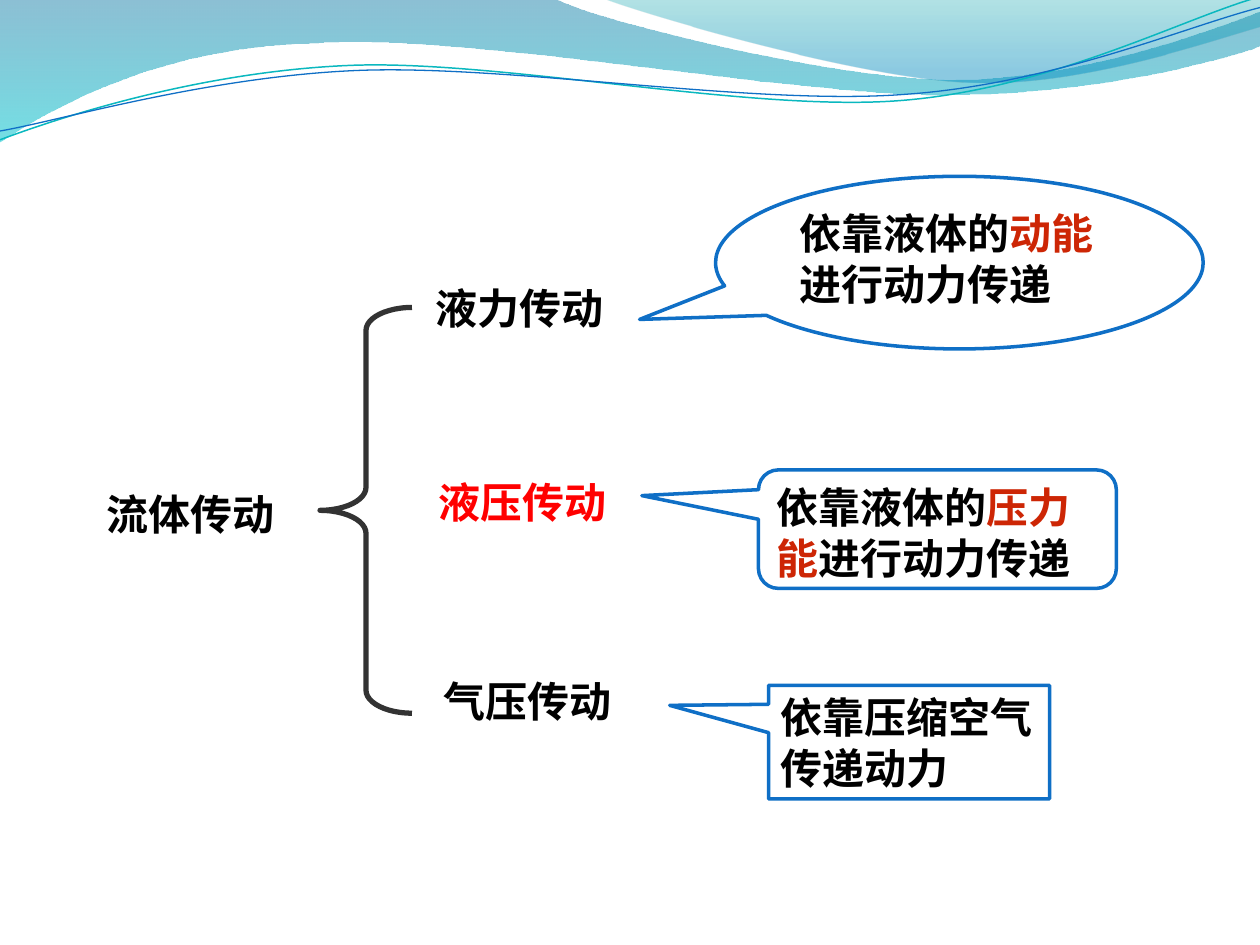
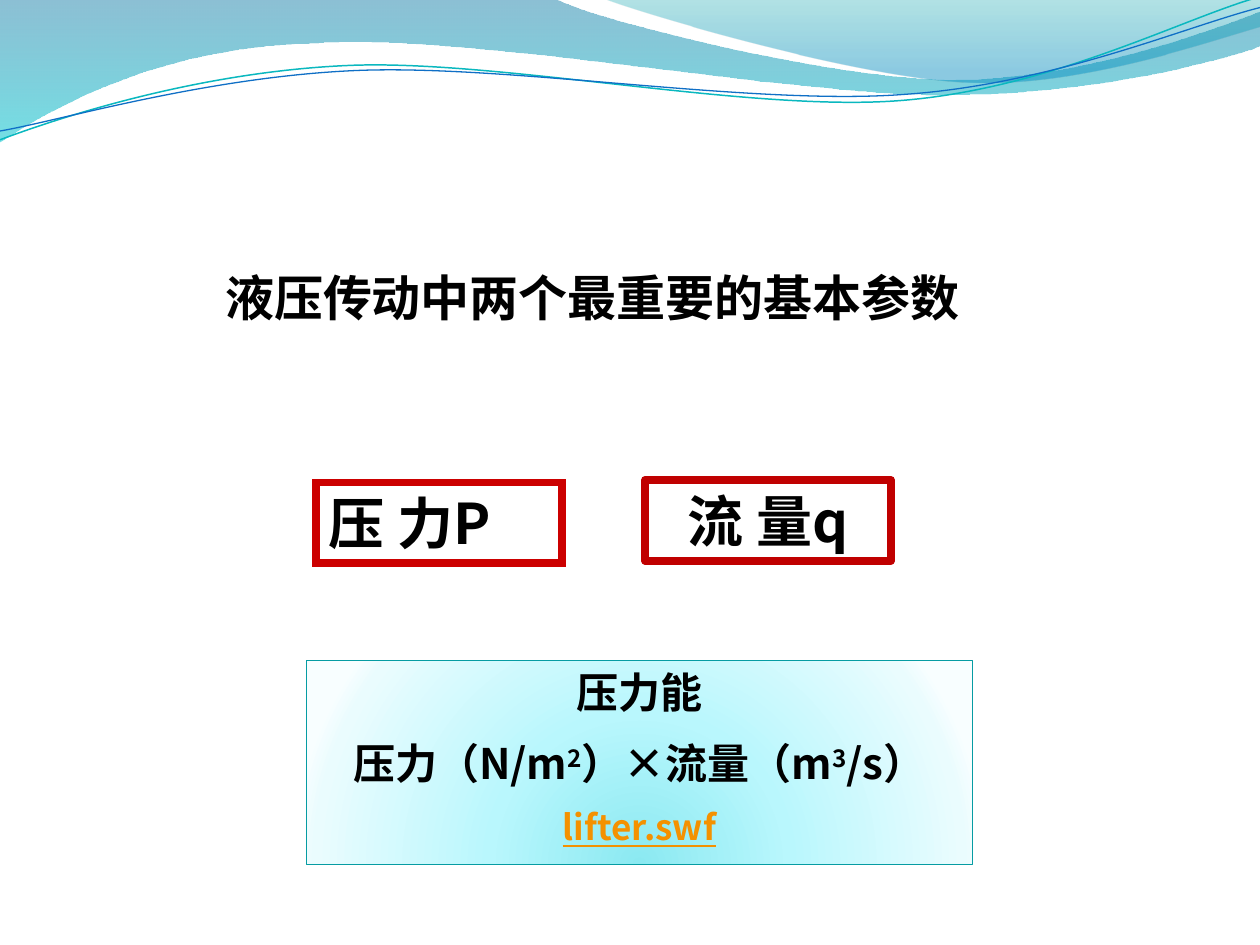
import lxml.etree
import pptx
import pptx.dml.color
import pptx.enum.shapes
import pptx.enum.text
import pptx.oxml
import pptx.oxml.ns
import pptx.util

RGBColor = pptx.dml.color.RGBColor
Inches = pptx.util.Inches
Pt = pptx.util.Pt
qn = pptx.oxml.ns.qn
MSO_SHAPE = pptx.enum.shapes.MSO_SHAPE
MSO_ANCHOR = pptx.enum.text.MSO_ANCHOR
PP_ALIGN = pptx.enum.text.PP_ALIGN

FONT = "Noto Sans CJK SC"
BLACK = RGBColor(0x00, 0x00, 0x00)
WHITE = RGBColor(0xFF, 0xFF, 0xFF)
RED = RGBColor(0xFF, 0x00, 0x00)
ACCENT_RED = RGBColor(0xCD, 0x26, 0x05)
PRESSURE_RED = RGBColor(0xCC, 0x00, 0x00)
FLOW_RED = RGBColor(0xC0, 0x00, 0x00)
BLUE = RGBColor(0x0F, 0x6F, 0xC6)
TEAL = RGBColor(0x0A, 0xB8, 0xBF)
DARK_TEAL = RGBColor(0x06, 0x9C, 0xA3)
ORANGE = RGBColor(0xF4, 0x91, 0x00)
WAVE_STOPS = [(0, RGBColor(0x00, 0x74, 0xA1), 45), (100, RGBColor(0x00, 0xC6, 0xCF), 55)]
CREST_STOPS = [(0, RGBColor(0x00, 0xA1, 0xA9), 30), (80, RGBColor(0x00, 0x8B, 0xBF), 45)]
PANEL_STOPS = [(0, RGBColor(0x8B, 0xE9, 0xF1), 100), (43, RGBColor(0xB9, 0xF7, 0xFD), 100),
               (93, RGBColor(0xEA, 0xFC, 0xFE), 100), (100, RGBColor(0xF8, 0xFE, 0xFF), 100)]
DOWNWARD = '<a:lin ang="5400000" scaled="1"/>'
FROM_BELOW = ('<a:path path="circle">'
              '<a:fillToRect l="50000" t="130000" r="50000" b="-30000"/></a:path>')


def gradient_fill(shape, stops, direction):
    stop_xml = "".join(
        f'<a:gs pos="{position * 1000}"><a:srgbClr val="{color}">'
        f'<a:alpha val="{alpha * 1000}"/></a:srgbClr></a:gs>'
        for position, color, alpha in stops)
    gradient = pptx.oxml.parse_xml(
        f'<a:gradFill {pptx.oxml.ns.nsdecls("a")} rotWithShape="1">'
        f'<a:gsLst>{stop_xml}</a:gsLst>{direction}</a:gradFill>')
    shape.fill.background()
    properties = shape.element.spPr
    properties.replace(properties.find(qn("a:noFill")), gradient)


def write_text(shape, paragraphs, size=24, alignment=PP_ALIGN.LEFT, wrap=True):
    """Fill a shape; each paragraph is a list of (text, color) runs."""
    frame = shape.text_frame
    frame.word_wrap = wrap
    frame.auto_size = pptx.enum.text.MSO_AUTO_SIZE.NONE
    frame.vertical_anchor = MSO_ANCHOR.TOP
    for index, runs in enumerate(paragraphs):
        paragraph = frame.paragraphs[0] if index == 0 else frame.add_paragraph()
        paragraph.alignment = alignment
        paragraph.font.name = FONT
        paragraph.font.size = Pt(size)
        paragraph.font.bold = True
        defaults = paragraph._p.pPr.find(qn("a:defRPr"))
        lxml.etree.SubElement(defaults, qn("a:ea")).set("typeface", FONT)
        for text, color in runs:
            run = paragraph.add_run()
            run.text = text
            run.font.color.rgb = color


presentation = pptx.Presentation()
presentation.slide_width = Inches(10)
presentation.slide_height = Inches(7.5)
tree_slide = presentation.slides.add_slide(presentation.slide_layouts[6])

# Wave band shared through the master: two filled waves and two thin lines.
# A step is a corner (x, y) or a cubic curve (control, control, end).
waves = [
    ([(0, 0), (4.4, -0.01), (4.76, 0.17, 6.64, 0.63, 7.58, 0.63),
      (8.53, 0.63, 9.58, 0.26, 10, 0.09), (10.01, 0.36), (9.83, 0.44, 8.7, 0.76, 7.46, 0.75),
      (6.22, 0.75, 3.82, 0.28, 2.57, 0.34), (1.29, 0.36, 0.46, 0.83, -0.01, 1.13)],
     WAVE_STOPS, None, 0),
    ([(4.79, -0.01), (5.09, 0.11, 6.82, 0.62, 7.69, 0.65), (8.56, 0.69, 9.61, 0.32, 10, 0.21),
      (10, 0)], CREST_STOPS, None, 0),
    ([(0, 1.11), (0.48, 0.93, 1.58, 0.57, 2.77, 0.52), (3.95, 0.47, 5.93, 0.89, 7.13, 0.8),
      (8.33, 0.71, 9.38, 0.15, 9.98, -0.02)], None, TEAL, 0.85),
    ([(0, 1.04), (0.47, 0.96, 1.64, 0.61, 2.83, 0.56), (4.03, 0.51, 5.97, 0.84, 7.17, 0.75),
      (8.36, 0.67, 9.41, 0.21, 10, 0.06)], None, BLUE, 0.75),
]
for depth, (steps, stops, line_color, line_width) in enumerate(waves):
    points = [(Inches(step[i]), Inches(step[i + 1]))
              for step in steps for i in range(0, len(step), 2)]
    builder = tree_slide.shapes.build_freeform(*points[0])
    builder.add_line_segments(points[1:], close=stops is not None)
    wave = builder.convert_to_shape()
    # Turn the three straight segments of each curve step into one cubic
    segments = iter(list(wave.element.iter(qn("a:lnTo"))))
    for step in steps[1:]:
        parts = [next(segments) for _ in range(len(step) // 2)]
        if len(parts) == 3:
            curve = lxml.etree.Element(qn("a:cubicBezTo"))
            parts[0].addprevious(curve)
            for part in parts:
                curve.append(part[0])
                part.getparent().remove(part)
    wave.shadow.inherit = False
    if stops:
        gradient_fill(wave, stops, DOWNWARD)
        wave.line.fill.background()
    else:
        wave.fill.background()
        wave.line.color.rgb = line_color
        wave.line.width = Pt(line_width)
    presentation.slide_master.shapes.element.insert(2 + depth, wave.element)

# Slide 1: root, brace and three branches
root_label = tree_slide.shapes.add_textbox(Inches(0.75), Inches(3.83), Inches(1.56), Inches(0.51))
write_text(root_label, [[("流体传动", BLACK)]], wrap=False)

brace = tree_slide.shapes.add_shape(
    MSO_SHAPE.LEFT_BRACE, Inches(2.54), Inches(2.44), Inches(0.73), Inches(3.22))
brace.shadow.inherit = False
brace.adjustments[0] = 0.25
brace.fill.background()
brace.line.color.rgb = BLACK
brace.line.width = Pt(3)
brace_color = brace.line._ln.find(qn("a:solidFill"))[0]
lxml.etree.SubElement(brace_color, qn("a:alpha")).set("val", "80000")

branches = [
    ("液力传动", BLACK, 3.36, 2.19, 2.45),
    ("液压传动", RED, 3.38, 3.73, 2.15),
    ("气压传动", BLACK, 3.42, 5.31, 2.48),
]
for name, color, left, top, width in branches:
    branch_label = tree_slide.shapes.add_textbox(
        Inches(left), Inches(top), Inches(width), Inches(0.51))
    write_text(branch_label, [[(name, color)]])

# Callouts explaining the branches
callouts = [
    (MSO_SHAPE.OVAL_CALLOUT, (5.68, 1.4, 3.87, 1.37), (-0.656, 0.329), True,
     [[("依靠液体的", BLACK), ("动能", ACCENT_RED), ("进行动力传递", BLACK)]]),
    (MSO_SHAPE.ROUNDED_RECTANGULAR_CALLOUT, (6.02, 3.73, 2.84, 0.94), (-0.826, -0.283, 0.167), True,
     [[("依靠液体的", BLACK), ("压力能", ACCENT_RED), ("进行动力传递", BLACK)]]),
    (MSO_SHAPE.RECTANGULAR_CALLOUT, (6.1, 5.44, 2.23, 0.9), (-0.852, -0.324), False,
     [[("依靠压缩空气", BLACK)], [("传递动力", BLACK)]]),
]
for kind, box, adjustments, wrap, paragraphs in callouts:
    callout = tree_slide.shapes.add_shape(kind, *map(Inches, box))
    callout.shadow.inherit = False
    for index, value in enumerate(adjustments):
        callout.adjustments[index] = value
    callout.fill.solid()
    callout.fill.fore_color.rgb = WHITE
    callout.line.color.rgb = BLUE
    callout.line.width = Pt(2)
    write_text(callout, paragraphs, wrap=wrap)

# Slide 2: title
parameter_slide = presentation.slides.add_slide(presentation.slide_layouts[5])
title = parameter_slide.shapes.title
title.left, title.top, title.width, title.height = map(Inches, (1.48, 2.07, 6.44, 0.57))
write_text(title, [[("液压传动中两个最重要的基本参数", BLACK)]], 28, PP_ALIGN.CENTER)

# The two parameters
parameters = [
    ("压 力P", 2.51, 3.83, PRESSURE_RED, PP_ALIGN.LEFT, "a:miter"),
    ("流 量q", 5.12, 3.81, FLOW_RED, PP_ALIGN.CENTER, "a:round"),
]
for name, left, top, color, alignment, corner in parameters:
    parameter_box = parameter_slide.shapes.add_shape(
        MSO_SHAPE.RECTANGLE, Inches(left), Inches(top), Inches(1.95), Inches(0.64))
    parameter_box.shadow.inherit = False
    parameter_box.fill.background()
    parameter_box.line.color.rgb = color
    parameter_box.line.width = Pt(4.5)
    lxml.etree.SubElement(parameter_box.line._ln, qn(corner))
    write_text(parameter_box, [[(name, BLACK)]], 32, alignment)

# Pressure energy panel
panel = parameter_slide.shapes.add_shape(
    MSO_SHAPE.RECTANGLE, Inches(2.43), Inches(5.24), Inches(5.29), Inches(1.62))
gradient_fill(panel, PANEL_STOPS, FROM_BELOW)
panel.line.color.rgb = DARK_TEAL
panel.line.width = Pt(0.75)
panel.shadow.inherit = False
formula = ["压力（N/m", "2", "）×流量（m", "3", "/s）"]
write_text(panel, [[("压力能", BLACK)], [(part, BLACK) for part in formula],
                   [("lifter.swf", ORANGE)]], alignment=PP_ALIGN.CENTER)
_, formula_line, file_line = panel.text_frame.paragraphs
formula_line.space_before = Pt(12)
for exponent in formula_line.runs[1::2]:
    exponent._r.get_or_add_rPr().set("baseline", "30000")
file_line.space_before = Pt(10)
file_line.font.size = Pt(20)
file_line.font.underline = True

presentation.save("out.pptx")
